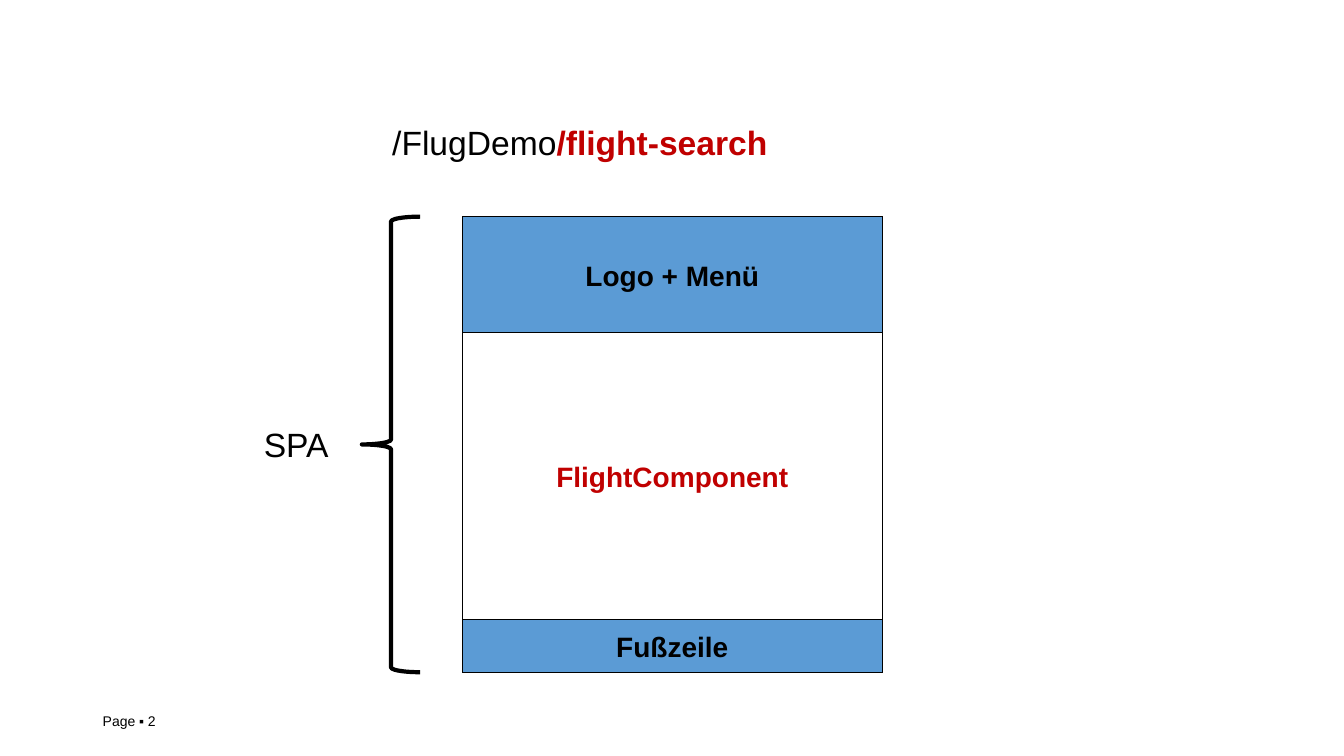
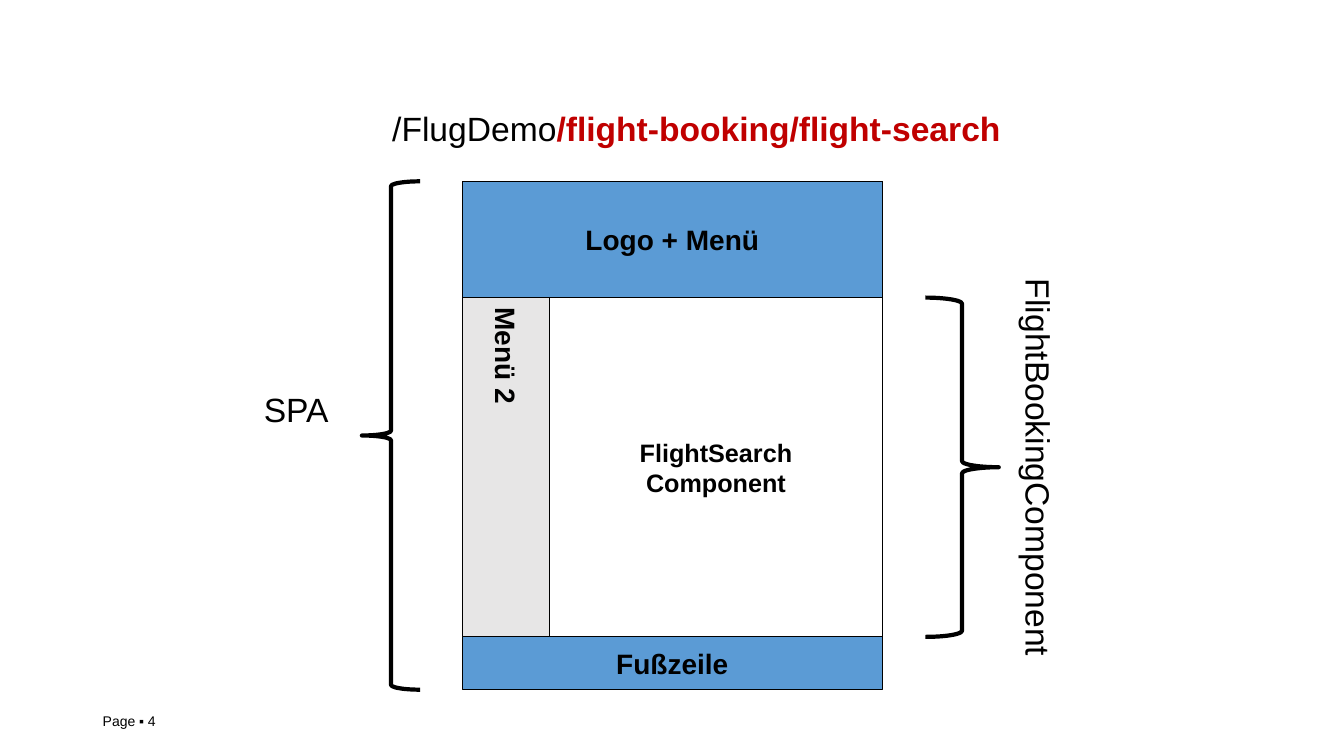
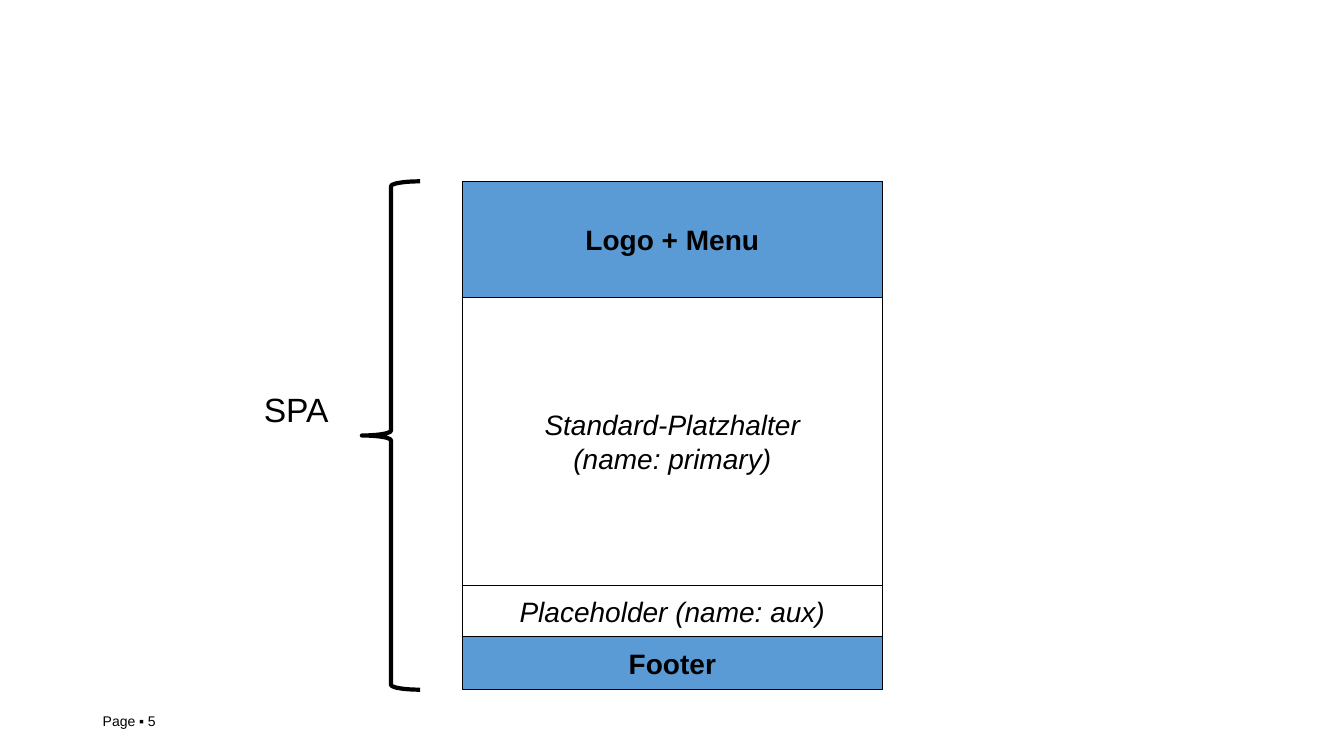
"""Build three slides that show the page layout of a single page application."""
from pptx import Presentation
from pptx.dml.color import RGBColor
from pptx.enum.shapes import MSO_SHAPE
from pptx.enum.text import MSO_ANCHOR, MSO_AUTO_SIZE, PP_ALIGN
from pptx.util import Cm, Pt

RECT, LEFT_BRACE, RIGHT_BRACE = MSO_SHAPE.RECTANGLE, MSO_SHAPE.LEFT_BRACE, MSO_SHAPE.RIGHT_BRACE
LEFT, CENTER = PP_ALIGN.LEFT, PP_ALIGN.CENTER
TOP, MIDDLE = MSO_ANCHOR.TOP, MSO_ANCHOR.MIDDLE
NO_FIT = MSO_AUTO_SIZE.NONE

COLORS = {"black": "000000", "white": "FFFFFF", "blue": "5B9BD5", "gray": "E7E6E6", "red": "C00000"}
FONT = "Arial"
TITLE_ONLY, BLANK = 5, 6

PAGE_X, PAGE_W = 11.66, 10.57
HEADER_H, FOOTER_H = 2.93, 1.33
MENU_W, AUX_H = 2.2, 1.3

SLIDES = [
    {"page": 2, "top": 5.46, "main_h": 7.22, "header": "Logo + Menü", "footer": "Fußzeile",
     "main": "FlightComponent", "format": {"bold": True, "color": "red"},
     "route": "/flight-search", "route_y": 2.95, "route_w": 10.06},
    {"page": 4, "top": 4.57, "main_h": 8.55, "header": "Logo + Menü", "footer": "Fußzeile",
     "main": "FlightSearch\nComponent", "format": {"bold": True, "size": 18},
     "route": "/flight-booking/flight-search", "route_y": 2.59, "route_w": 15.98,
     "menu": "Menü 2", "component": "FlightBookingComponent"},
    {"page": 5, "top": 4.57, "main_h": 8.55, "header": "Logo + Menu", "footer": "Footer",
     "main": "Standard-Platzhalter\n(name: primary)", "format": {"italic": True},
     "aux": "Placeholder (name: aux)"},
]


def write(sp, text, size=20, color="black", bold=False, italic=False, align=CENTER,
          anchor=MIDDLE, wrap=False, vert=None, accent=None):
    tf = sp.text_frame
    tf.auto_size = NO_FIT
    tf.word_wrap = wrap
    tf.vertical_anchor = anchor
    if vert:
        tf._txBody.bodyPr.set("vert", vert)
    tf.text = text
    if accent:
        tf.paragraphs[0].add_run().text = accent
    for p in tf.paragraphs:
        p.alignment = align
        for i, r in enumerate(p.runs):
            r.font.name = FONT
            r.font.size = Pt(size)
            r.font.bold = bold or i > 0
            r.font.italic = italic
            r.font.color.rgb = RGBColor.from_string(COLORS["red" if i else color])


def draw(s, preset, x, y, w, h, fill=None, line=0.75):
    sp = s.shapes.add_shape(preset, Cm(x), Cm(y), Cm(w), Cm(h))
    sp.shadow.inherit = False
    if fill:
        sp.fill.solid()
        sp.fill.fore_color.rgb = RGBColor.from_string(COLORS[fill])
    else:
        sp.fill.background()
    sp.line.color.rgb = RGBColor.from_string(COLORS["black"])
    sp.line.width = Pt(line)
    return sp


prs = Presentation()
prs.slide_width, prs.slide_height = Cm(33.87), Cm(19.05)

for d in SLIDES:
    s = prs.slides.add_slide(prs.slide_layouts[TITLE_ONLY if "route" in d else BLANK])
    top, main_h = d["top"], d["main_h"]
    main_y = top + HEADER_H
    footer_y = main_y + main_h

    if "route" in d:
        title = s.shapes.title
        title.left, title.top = Cm(9.63), Cm(d["route_y"])
        title.width, title.height = Cm(d["route_w"]), Cm(1.27)
        write(title, "/FlugDemo", size=24, align=LEFT, anchor=TOP, accent=d["route"])

    number = s.shapes.add_textbox(Cm(2.34), Cm(17.65), Cm(7.62), Cm(1.02))
    write(number, f"Page ▪ {d['page']}", size=10, align=LEFT, wrap=True)

    draw(s, RECT, PAGE_X, top, PAGE_W, 11.48, fill="white")
    for key, y, h in (("header", top, HEADER_H), ("footer", footer_y, FOOTER_H)):
        write(draw(s, RECT, PAGE_X, y, PAGE_W, h, fill="blue"), d[key], bold=True)

    spa = s.shapes.add_textbox(Cm(6.4), Cm(top + 5.1), Cm(2.16), Cm(1.3))
    write(spa, "SPA", size=24, align=LEFT, anchor=TOP)
    draw(s, LEFT_BRACE, 9.12, top, 1.47, HEADER_H + main_h + FOOTER_H, line=3)

    main_x, main_w = PAGE_X, PAGE_W
    if "menu" in d:
        menu = draw(s, RECT, PAGE_X, main_y, MENU_W, main_h, fill="gray")
        write(menu, d["menu"], bold=True, vert="eaVert")
        main_x, main_w = PAGE_X + MENU_W, PAGE_W - MENU_W
        draw(s, RIGHT_BRACE, 23.32, main_y, 1.85, main_h, line=3)
        component = s.shapes.add_textbox(Cm(25.27), Cm(6.78), Cm(1.55), Cm(9.88))
        write(component, d["component"], size=24, align=LEFT, anchor=TOP, vert="eaVert")
    if "aux" in d:
        main_h -= AUX_H
        aux = draw(s, RECT, PAGE_X, main_y + main_h, PAGE_W, AUX_H)
        write(aux, d["aux"], italic=True)
    write(draw(s, RECT, main_x, main_y, main_w, main_h), d["main"], **d["format"])

prs.save("out.pptx")
